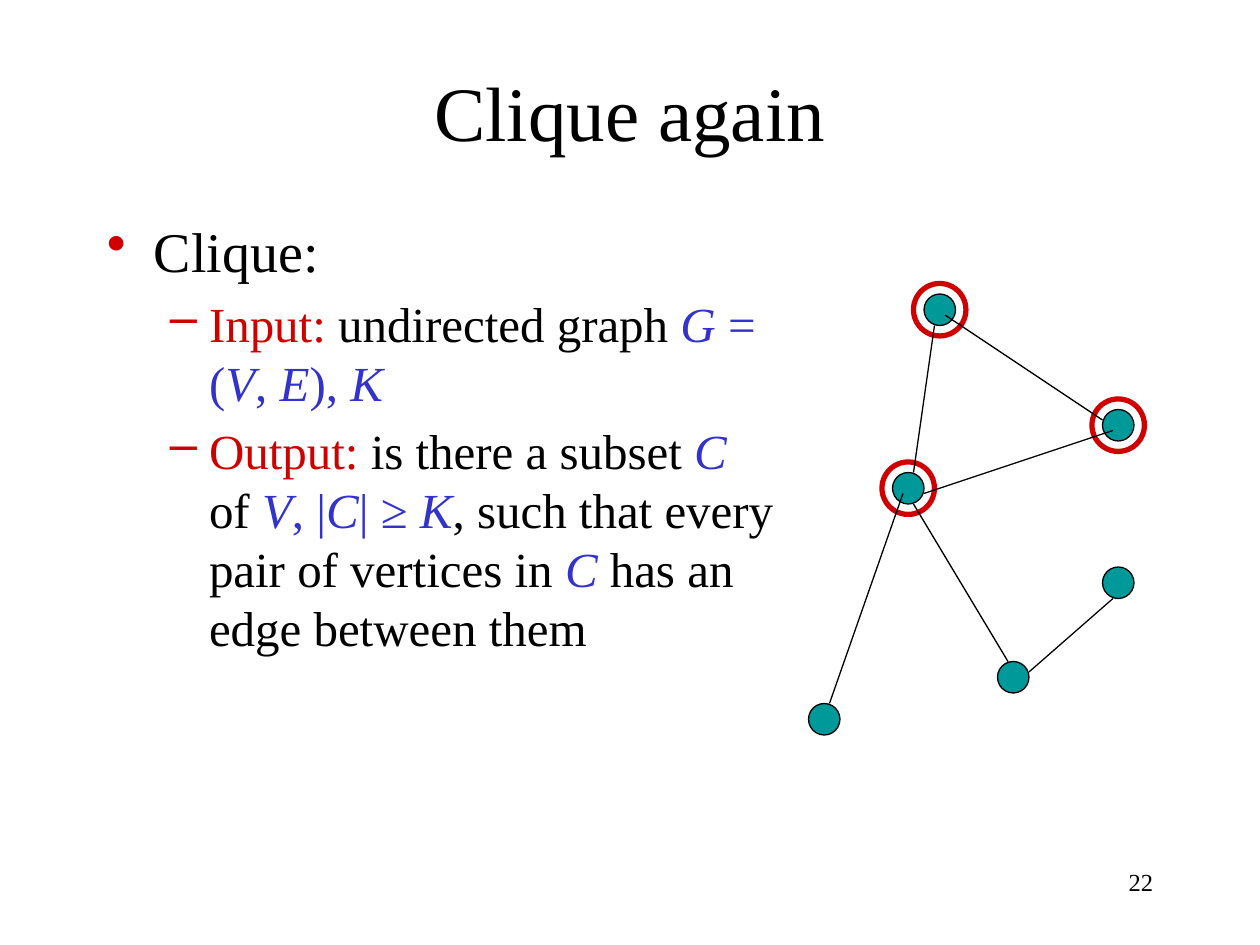
from dataclasses import dataclass
from lxml.etree import SubElement
from pptx import Presentation
from pptx.dml.color import RGBColor
from pptx.enum.shapes import MSO_CONNECTOR, MSO_SHAPE
from pptx.enum.text import MSO_ANCHOR, PP_ALIGN
from pptx.oxml.ns import qn
from pptx.util import Cm, Pt


@dataclass(frozen=True)
class Theme:
    font: str = "Times New Roman"
    ink: str = "000000"
    red: str = "CE0000"
    blue: str = "3333CC"
    teal: str = "009999"
    title: int = 44
    head: int = 32
    body: int = 28
    page: int = 14
    thin: float = 0.75
    thick: float = 3


def grid(*steps):
    """Turn grid steps, twelve to the inch, into lengths."""
    return [Cm(step * 2.54 / 12) for step in steps]


def write(para, text, *, font, size, color, italic=False):
    run = para.add_run()
    run.text = text
    run.font.name = font
    run.font.size = Pt(size)
    run.font.italic = italic
    run.font.color.rgb = RGBColor.from_string(color)


class Page:
    def __init__(self, slide, theme):
        self.slide = slide
        self.theme = theme

    def box(self, place, anchor=MSO_ANCHOR.TOP):
        frame = self.slide.shapes.add_textbox(*grid(*place)).text_frame
        frame.word_wrap = True
        frame.vertical_anchor = anchor
        return frame

    def label(self, place, text, size, align, anchor=MSO_ANCHOR.TOP):
        para = self.box(place, anchor).paragraphs[0]
        para.alignment = align
        write(para, text, font=self.theme.font, size=size, color=self.theme.ink)

    def bullet(self, para, mark, left, hang, level=0):
        para.level = level
        props = para._p.get_or_add_pPr()
        props.set("marL", str(Cm(left)))
        props.set("indent", str(-Cm(hang)))
        tint = SubElement(props, qn("a:buClr"))
        SubElement(tint, qn("a:srgbClr"), val=self.theme.red)
        SubElement(props, qn("a:buChar"), char=mark)

    def items(self, place, head, points):
        frame = self.box(place)
        first = frame.paragraphs[0]
        self.bullet(first, "•", 0.95, 0.95)
        write(first, head, font=self.theme.font, size=self.theme.head,
              color=self.theme.ink)
        for parts in points:
            para = frame.add_paragraph()
            self.bullet(para, "–", 2.06, 0.79, level=1)
            para.space_before = Pt(self.theme.body * 0.2)
            for text, color, italic in parts:
                write(para, text, font=self.theme.font, size=self.theme.body,
                      color=color, italic=italic)

    def disc(self, left, top, size, line, width, fill=None):
        shape = self.slide.shapes.add_shape(
            MSO_SHAPE.OVAL, *grid(left, top, size, size))
        shape.shadow.inherit = False
        if fill:
            shape.fill.solid()
            shape.fill.fore_color.rgb = RGBColor.from_string(fill)
        else:
            shape.fill.background()
        shape.line.color.rgb = RGBColor.from_string(line)
        shape.line.width = Pt(width)

    def ring(self, left, top):
        self.disc(left - 1, top - 1, 5, self.theme.red, self.theme.thick)

    def node(self, left, top):
        self.disc(left, top, 3, self.theme.ink, self.theme.thin, self.theme.teal)

    def edge(self, *ends):
        line = self.slide.shapes.add_connector(MSO_CONNECTOR.STRAIGHT, *grid(*ends))
        line.line.color.rgb = RGBColor.from_string(self.theme.ink)
        line.line.width = Pt(self.theme.thin)
        SubElement(line._element.spPr, qn("a:effectLst"))


def main():
    deck = Presentation()
    deck.slide_width, deck.slide_height = Cm(25.4), Cm(19.05)
    theme = Theme()
    page = Page(deck.slides.add_slide(deck.slide_layouts[6]), theme)

    # Page number and title
    page.label((86, 82, 25, 6), "22", theme.page, PP_ALIGN.RIGHT)
    page.label((9, 3, 102, 15), "Clique again", theme.title,
               PP_ALIGN.CENTER, MSO_ANCHOR.MIDDLE)

    # Problem statement
    def key(text):
        return text, theme.red, False

    def say(text):
        return text, theme.ink, False

    def math(text):
        return text, theme.blue, False

    def var(text):
        return text, theme.blue, True

    page.items((9, 20, 66, 60), "Clique:", [
        [key("Input:"), say(" undirected graph "), var("G"), math(" = ("),
         var("V"), math(", "), var("E"), math("), "), var("K")],
        [key("Output:"), say(" is there a subset "), var("C "), say("of "),
         var("V"), math(", |"), var("C"), math("| ≥ "), var("K"),
         say(", such that every pair of vertices in "), var("C "),
         say("has an edge between them")],
    ])

    # Graph: ringed clique, other nodes, edges
    clique = [(88, 28), (105, 39), (85, 45)]
    others = [(105, 54), (95, 63), (77, 67)]
    edges = [(89, 31, 87, 45), (90, 30, 105, 40), (88, 47, 106, 41),
             (87, 48, 96, 63), (106, 57, 98, 64), (86, 47, 79, 67)]
    for spot in clique:
        page.ring(*spot)
    for spot in clique + others:
        page.node(*spot)
    for ends in edges:
        page.edge(*ends)

    deck.save("out.pptx")


if __name__ == "__main__":
    main()
